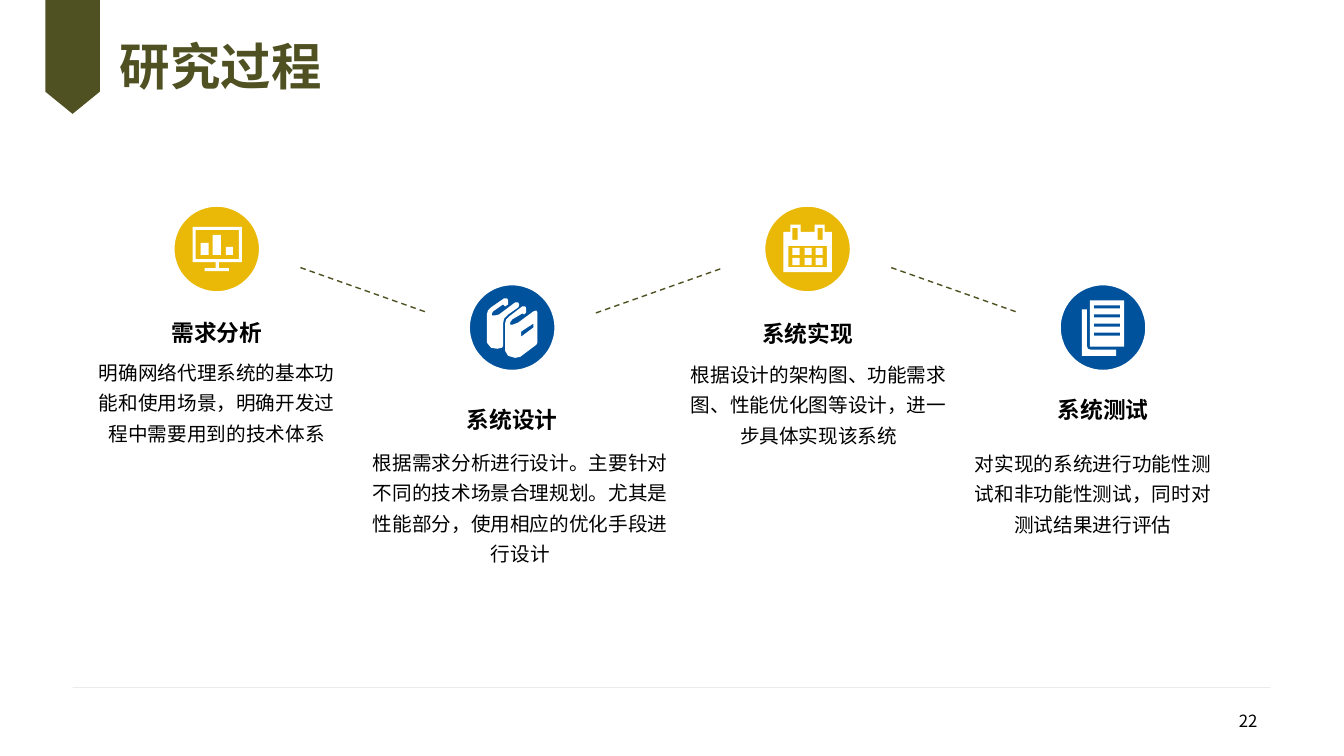
from dataclasses import dataclass
from itertools import pairwise

from lxml import etree
from pptx import Presentation
from pptx import util as u
from pptx.dml.color import RGBColor
from pptx.enum import dml, shapes, text
from pptx.oxml import ns

# Content: heading, description, icon, heading bottom, body (shift, top, width)
TITLE = "研究过程"
PAGE = "22"
STEPS = [
    ("需求分析", "明确网络代理系统的基本功能和使用场景，明确开发过程中需要用到的技术体系",
     "monitor", 3.48, (0, 3.46, 2.65)),
    ("系统设计", "根据需求分析进行设计。主要针对不同的技术场景合理规划。尤其是性能部分，使用相应的优化手段进行设计",
     "books", 4.35, (0.08, 4.35, 3.14)),
    ("系统实现", "根据设计的架构图、功能需求图、性能优化图等设计，进一步具体实现该系统",
     "calendar", 3.49, (0.11, 3.48, 2.74)),
    ("系统测试", "对实现的系统进行功能性测试和非功能性测试，同时对测试结果进行评估",
     "pages", 4.25, (-0.1, 4.36, 2.64)),
]


@dataclass(frozen=True)
class Theme:
    font: str = "Noto Sans CJK SC"
    olive: str = "505122"
    gold: str = "EAB908"
    blue: str = "00529D"
    rule: str = "BFBFBF"
    ink: str = "000000"
    paper: str = "FFFFFF"
    title: float = 36
    heading: float = 16.2
    body: float = 14
    page: float = 12


THEME = Theme()


# Icon outlines, in hundredths of an inch from the disc's centre
def box(left, top, right, bottom):
    return [(left, top), (right, top), (right, bottom), (left, bottom)]


ICONS = {
    "monitor": [
        box(-24, -22, 25, 13), box(-21, -19, 22, 10),
        box(-16, -6, -8, 6), box(-4, -14, 4, 6), box(9, -2, 16, 6),
        box(-1, 13, 2, 19), box(-12, 19, 12, 22)],
    "books": [
        [(-9, -4), (-9, 18), (-10, 20), (-15, 21), (-21, 20), (-25, 15), (-25, -13),
         (-24, -17), (-21, -20), (-8, -29), (-5, -29), (-4, -27), (-4, -23), (-7, -21),
         (-9, -23), (-19, -16), (-20, -14), (-20, -12), (-17, -12), (-13, -13), (3, -25),
         (6, -25), (7, -23), (7, -22), (6, -20), (-4, -13), (-8, -9)],
        [(25, -15), (25, 15), (24, 17), (8, 29), (3, 30), (-4, 28), (-7, 23), (-7, -4),
         (-6, -8), (-3, -11), (10, -21), (13, -21), (14, -19), (14, -15), (12, -13),
         (10, -14), (0, -8), (-2, -5), (-2, -3), (1, -3), (6, -5), (21, -16), (24, -17)],
        [(21, -4), (9, 4), (9, 9), (21, 0)]],
    "calendar": [
        [(-24, -17), (-17, -17), (-17, -24), (-7, -24), (-7, -17), (7, -17), (7, -24),
         (17, -24), (17, -17), (24, -17), (24, 23), (-24, 23)],
        box(-15, -21, -10, -9), box(10, -21, 15, -9), box(-19, -3, 19, 18),
        *(box(x, y, x + 7, y + 7) for y in (-1, 9) for x in (-15, -3, 8))],
    "pages": [
        [(13, 22), (13, 28), (-21, 28), (-21, -18), (-16, -18), (-16, 18), (-15, 21), (-12, 22)],
        box(-13, -27, 21, 19),
        *(box(-9, y, 17, y + 3) for y in range(-22, 6, 9))],
}
RIBBON = [[(45, 0), (99, 0), (99, 91), (72, 113), (45, 91)]]

# Grid
COLUMN_START, COLUMN_STEP = 2.15, 2.93
ROWS = (2.47, 3.25)
DISC = 0.9
HEADING_W, HEADING_H, BODY_H = 2.64, 0.48, 1.28
LINK_W, LINK_H, LINK_DROP = 1.27, 0.45, 0.02

deck = Presentation()
deck.slide_width, deck.slide_height = u.Inches(13.33), u.Inches(7.5)
slide = deck.slides.add_slide(deck.slide_layouts[6])


def paint(shape, fill):
    shape.shadow.inherit = False
    shape.fill.solid()
    shape.fill.fore_color.rgb = RGBColor.from_string(fill)
    shape.line.fill.background()


def outline(contours, fill, x=0, y=0):
    pen = slide.shapes.build_freeform(*contours[0][0], scale=u.Inches(0.01))
    for index, points in enumerate(contours):
        if index:
            pen.move_to(*points[0])
        pen.add_line_segments(points[1:], close=True)
    paint(pen.convert_to_shape(u.Inches(x), u.Inches(y)), fill)


def write(words, place, size, color=THEME.ink, bold=False, align="CENTER",
          anchor="TOP", spacing=1.3, inset=True):
    area = slide.shapes.add_textbox(*map(u.Inches, place))
    frame = area.text_frame
    frame.word_wrap = True
    frame.vertical_anchor = text.MSO_ANCHOR[anchor]
    if not inset:
        frame.margin_left = frame.margin_right = frame.margin_top = frame.margin_bottom = 0
    paragraph = frame.paragraphs[0]
    paragraph.alignment = text.PP_ALIGN[align]
    paragraph.line_spacing = spacing
    run = paragraph.add_run()
    run.text = words
    run.font.size, run.font.bold, run.font.name = u.Pt(size), bold, THEME.font
    run.font.color.rgb = RGBColor.from_string(color)
    # East Asian typeface
    etree.SubElement(run.font._element, ns.qn("a:ea"), typeface=THEME.font)


def connect(start, end, color, width):
    link = slide.shapes.add_connector(
        shapes.MSO_CONNECTOR.STRAIGHT, *map(u.Inches, (*start, *end)))
    link.line.color.rgb = RGBColor.from_string(color)
    link.line.width = u.Pt(width)
    etree.SubElement(link._element.spPr, ns.qn("a:effectLst"))
    return link


# Page frame
footer_rule = connect((0.72, 6.82), (12.6, 6.82), THEME.rule, 0.25)
rule_color = footer_rule._element.spPr.find(".//" + ns.qn("a:srgbClr"))
etree.SubElement(rule_color, ns.qn("a:alpha"), val="47000")
outline(RIBBON, THEME.olive)
write(TITLE, (1.19, 0.26, 8.93, 0.86), THEME.title, THEME.olive, bold=True,
      align="LEFT", anchor="MIDDLE", spacing=0.9, inset=False)
write(PAGE, (9.57, 6.95, 3, 0.4), THEME.page, align="RIGHT", anchor="MIDDLE", spacing=1)

# Steps, alternating between the upper and the lower row
centres = [(COLUMN_START + i * COLUMN_STEP, ROWS[i % 2]) for i in range(len(STEPS))]
for i, (heading, body, icon, heading_bottom, (shift, body_top, body_w)) in enumerate(STEPS):
    x, y = centres[i]
    disc = slide.shapes.add_shape(
        shapes.MSO_SHAPE.OVAL, *map(u.Inches, (x - DISC / 2, y - DISC / 2, DISC, DISC)))
    paint(disc, (THEME.gold, THEME.blue)[i % 2])
    disc.line.color.rgb = RGBColor.from_string(THEME.paper)
    disc.line.width = u.Pt(4.5)
    outline(ICONS[icon], THEME.paper, x, y)
    write(heading, (x - HEADING_W / 2, heading_bottom - HEADING_H, HEADING_W, HEADING_H),
          THEME.heading, bold=True, anchor="BOTTOM")
    write(body, (x + shift - body_w / 2, body_top, body_w, BODY_H), THEME.body)

# Dashed links, centred between neighbouring discs
for (x1, y1), (x2, y2) in pairwise(centres):
    mid_x, mid_y = (x1 + x2) / 2, (y1 + y2) / 2 + LINK_DROP
    rise = LINK_H / 2 if y2 > y1 else -LINK_H / 2
    link = connect((mid_x - LINK_W / 2, mid_y - rise), (mid_x + LINK_W / 2, mid_y + rise),
                   THEME.olive, 1)
    link.line.dash_style = dml.MSO_LINE.DASH

deck.save("out.pptx")
